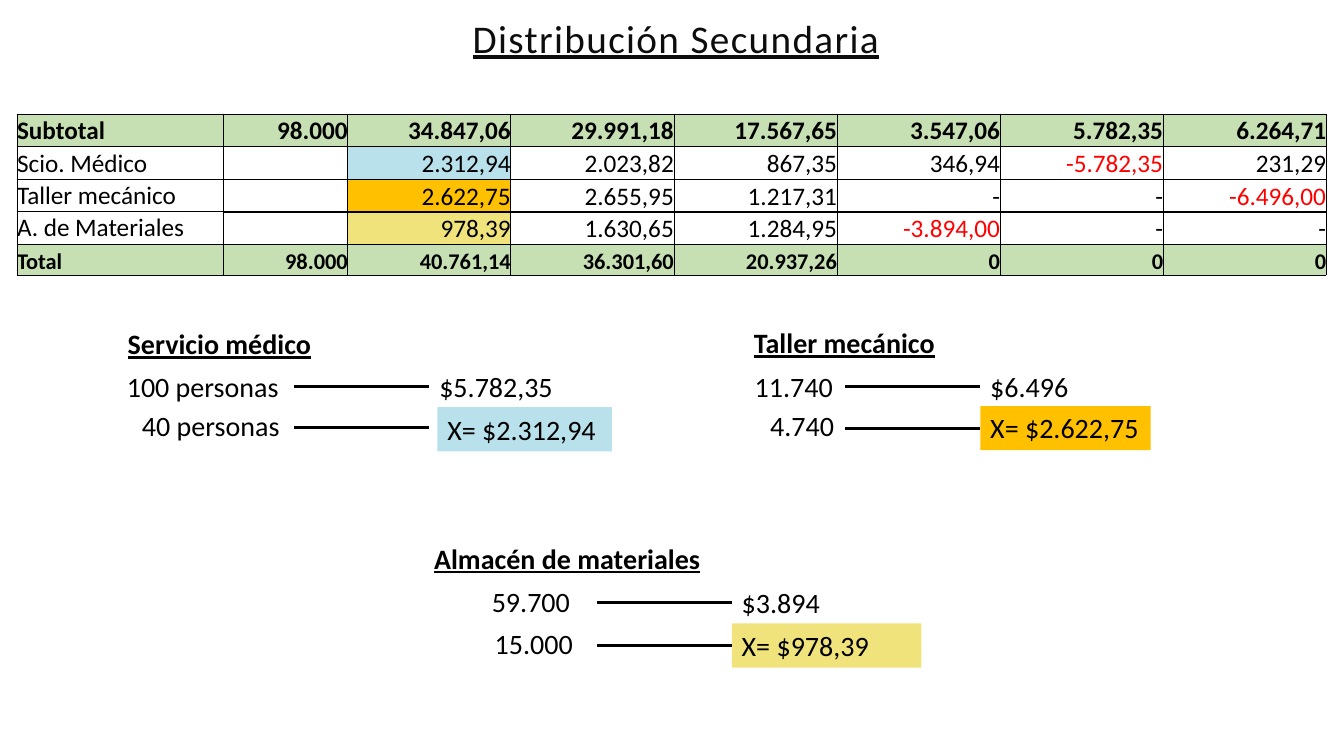
from lxml.etree import SubElement
from pptx import Presentation
from pptx.dml.color import RGBColor
from pptx.enum.shapes import MSO_CONNECTOR, MSO_SHAPE
from pptx.enum.text import MSO_ANCHOR, MSO_AUTO_SIZE, PP_ALIGN
from pptx.oxml.ns import qn
from pptx.util import Pt

BLACK, RED, GREEN = "000000", "FF0000", "C6E0B4"
BLUE, AMBER, YELLOW = "B8E1EC", "FFC000", "F0E37C"

TITLE = "Distribución Secundaria"
MAIN = [
    ["Subtotal", "98.000", "34.847,06", "29.991,18", "17.567,65", "3.547,06", "5.782,35", "6.264,71"],
    ["Scio. Médico"] + [""] * 7,
    ["Taller mecánico"] + [""] * 7,
    ["A. de Materiales"] + [""] * 7,
    ["Total", "98.000", "40.761,14", "36.301,60", "20.937,26", "0", "0", "0"],
]
# Each strip lies over the empty cells of one service row
STRIPS = [
    (BLUE, ["", "2.312,94", "2.023,82", "867,35", "346,94", "-5.782,35", "231,29"]),
    (AMBER, ["", "2.622,75", "2.655,95", "1.217,31", "-", "-", "-6.496,00"]),
    (YELLOW, ["", "978,39", "1.630,65", "1.284,95", "-3.894,00", "-", "-"]),
]
COLS = [147.6, 88.6] + [116.5] * 6
ROWS = [23.3] * 4 + [22]
LEFT, TOP = 12.2, 81.4

# Heading: text, left, top, width; then line start and its rows:
# (label, left, top, width), (amount, left, top, width, fill), line height
RULES = [
    (("Servicio médico", 84.2, 229.7, 146.9), 210.2, [
        (("100 personas", 83.5, 260.6, 159), ("$5.782,35", 306.7, 260.6, 107, None), 276.4),
        (("40 personas", 94.3, 288, 165), ("X= $2.312,94", 312.5, 290.9, 124.6, BLUE), 305.3)]),
    (("Taller mecánico", 531.4, 229, 144.7), 603.7, [
        (("11.740", 532, 260.6, 116.6), ("$6.496", 700.2, 260.6, 107, None), 276.4),
        (("4.740", 543, 288, 107), ("X= $2.622,75", 700.2, 290, 121.7, AMBER), 305.8)]),
    (("Almacén de materiales", 303, 383, 206), 426.2, [
        (("59.700", 344.2, 414, 78.5), ("$3.894", 522.7, 414.7, 107, None), 430.5),
        (("15.000", 346.3, 444.2, 129.6), ("X= $978,39", 522.7, 445.2, 135.4, YELLOW), 461)]),
]
HIGH, SPAN = 31.6, 96.5

deck = Presentation()
deck.slide_width, deck.slide_height = Pt(960), Pt(540)
slide = deck.slides.add_slide(deck.slide_layouts[6])
shapes = slide.shapes


def paint(part, tone):
    part.solid()
    part.fore_color.rgb = RGBColor.from_string(tone)


def write(frame, text, size=20, tone=BLACK, bold=False, line=False, align=PP_ALIGN.LEFT):
    para = frame.paragraphs[0]
    para.alignment = align
    run = para.add_run()
    run.text = text
    font = run.font
    font.name, font.size, font.bold, font.underline = "Calibri", Pt(size), bold, line
    paint(font.fill, tone)
    return run


def label(text, left, top, width, fill=None, wrap=True, **form):
    """Add one line of text, on a filled rectangle if fill is given."""
    place = Pt(left), Pt(top), Pt(width), Pt(HIGH)
    if fill:
        box = shapes.add_shape(MSO_SHAPE.RECTANGLE, *place)
        box.shadow.inherit = False
        paint(box.fill, fill)
        box.line.fill.background()
    else:
        box = shapes.add_textbox(*place)
    frame = box.text_frame
    frame.word_wrap = wrap
    frame.auto_size = MSO_AUTO_SIZE.SHAPE_TO_FIT_TEXT
    frame.vertical_anchor = MSO_ANCHOR.TOP
    write(frame, text, **form)
    return box


def rim(cell):
    """Draw thin black borders, ahead of the fill as the schema asks."""
    props = cell._tc.get_or_add_tcPr()
    for spot, side in enumerate(("lnL", "lnR", "lnT", "lnB")):
        edge = SubElement(props, qn("a:" + side), w=str(Pt(0.5)))
        fill = SubElement(edge, qn("a:solidFill"))
        SubElement(fill, qn("a:srgbClr"), val=BLACK)
        props.insert(spot, edge)


def grid(left, top, cols, rows, data, style):
    """Add a table; style(row, col) gives fill, anchor and text format."""
    table = shapes.add_table(len(rows), len(cols), Pt(left), Pt(top),
                             Pt(sum(cols)), Pt(sum(rows))).table
    table.first_row = table.horz_banding = False
    for col, width in zip(table.columns, cols):
        col.width = Pt(width)
    for r, high in enumerate(rows):
        table.rows[r].height = Pt(high)
        for c, text in enumerate(data[r]):
            cell = table.cell(r, c)
            cell.margin_left = cell.margin_right = cell.margin_top = cell.margin_bottom = 0
            fill, cell.vertical_anchor, form = style(r, c)
            if fill:
                paint(cell.fill, fill)
            else:
                cell.fill.background()
            rim(cell)
            if text:
                tone = RED if text[0] == "-" and len(text) > 1 else BLACK
                write(cell.text_frame, text, tone=tone, **form)


def main_style(r, c):
    ends = r in (0, 4)
    form = dict(size=16 if r == 4 else 18, bold=ends,
                align=PP_ALIGN.RIGHT if c else PP_ALIGN.LEFT)
    anchor = MSO_ANCHOR.MIDDLE if r in (2, 3) else MSO_ANCHOR.BOTTOM
    return GREEN if ends else None, anchor, form


def link(start, y, box):
    line = shapes.add_connector(MSO_CONNECTOR.STRAIGHT, Pt(start), Pt(y), Pt(start + SPAN), Pt(y))
    line.line.width = Pt(2.25)
    paint(line.line.fill, BLACK)
    SubElement(line._element.spPr, qn("a:effectLst"))
    if box.left == Pt(start + SPAN):
        line.end_connect(box, 1)


grid(LEFT, TOP, COLS, ROWS, MAIN, main_style)
for n, (shade, data) in enumerate(STRIPS, 1):
    grid(LEFT + COLS[0], TOP + sum(ROWS[:n]), COLS[1:], ROWS[n:n + 1], [data],
         lambda r, c: (shade if c == 1 else None, MSO_ANCHOR.BOTTOM,
                       dict(size=18, align=PP_ALIGN.RIGHT)))

head = shapes.add_textbox(Pt(330.5), Pt(-0.7), Pt(467.3), Pt(61.2)).text_frame
head.word_wrap = True
head.vertical_anchor = MSO_ANCHOR.MIDDLE
head.paragraphs[0].line_spacing = 0.8
run = write(head, TITLE, size=28, tone="0D0D0D", line=True)
run.font._element.set("spc", "100")

for name, start, rows in RULES:
    label(*name, wrap=False, bold=True, line=True)
    for count, amount, y in rows:
        label(*count)
        link(start, y, label(*amount))

deck.save("out.pptx")
